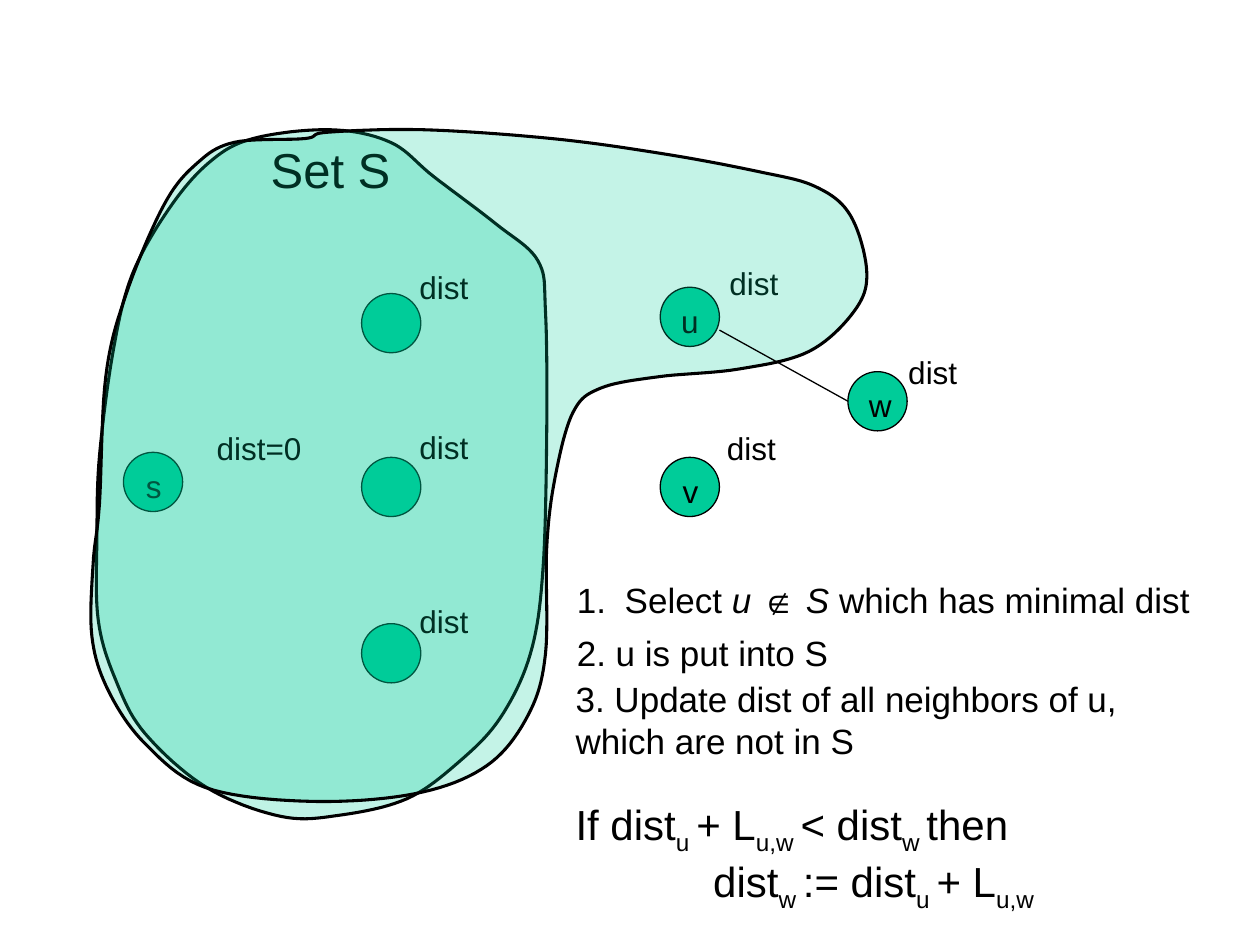
from itertools import cycle

from lxml.etree import SubElement
from pptx import Presentation
from pptx.dml.color import RGBColor
from pptx.enum.shapes import MSO_CONNECTOR as Connector, MSO_SHAPE as Shape
from pptx.enum.text import MSO_ANCHOR as Anchor, MSO_AUTO_SIZE as AutoSize, PP_ALIGN as Align
from pptx.oxml.ns import qn
from pptx.util import Inches, Pt

COLORS = {"green": "00CC99", "black": "000000"}
NODE_SIZE = 0.47
CURVE_STEPS = 10
MEMBER_LEFT, MEMBER_TOPS = 2.87, (2.33, 3.63, 4.95)
MEMBER_LABEL_LEFT, MEMBER_LABEL_TOPS = 3.23, (2.08, 3.35, 4.73)
CANDIDATE_LEFT = 5.24
U_TOP, V_TOP = 2.28, 3.63
W_LEFT, W_TOP = 6.73, 2.95

SET_S = {
    "top left": [(2.62, 1.03), (2.01, 1.1), (1.66, 1.29), (1.34, 1.66)],
    "left side": [(1.05, 2.18), (0.9, 2.78), (0.79, 3.62), (0.77, 4.25), (0.78, 4.92)],
    "bottom left": [(0.92, 5.4), (1.15, 5.82), (1.64, 6.25)],
    "bottom": [(2.23, 6.48), (2.7, 6.47), (3.23, 6.34)],
    "bottom right": [(3.64, 6.05), (3.97, 5.7), (4.21, 5.19)],
    "right side": [(4.31, 4.52), (4.34, 3.4), (4.33, 2.47)],
    "top right": [(4.27, 2.07), (3.94, 1.78), (3.44, 1.4), (3.1, 1.13)],
}

SET_S_WITH_U = {
    "top left": [(2.42, 1.1), (1.86, 1.13), (1.56, 1.3), (1.3, 1.63)],
    "left side": [(1, 2.34), (0.84, 2.99), (0.79, 4), (0.74, 4.47), (0.73, 5.05)],
    "bottom left": [(0.86, 5.48), (1.15, 5.9), (1.63, 6.25)],
    "bottom": [(2.45, 6.36), (3.29, 6.3)],
    "bottom right": [(3.86, 6.08), (4.19, 5.68)],
    "right side": [(4.33, 5.19), (4.34, 4.34), (4.41, 3.77)],
    "inner corner": [(4.55, 3.27), (4.77, 3.08)],
    "below u": [(5.23, 2.99), (5.86, 2.93), (6.42, 2.79)],
    "around u": [(6.78, 2.47), (6.88, 2.16), (6.75, 1.71), (6.47, 1.48)],
    "above u": [(6.01, 1.36), (5.26, 1.22), (4.38, 1.1), (3.36, 1.03), (2.6, 1.05)],
}


def rgb(name):
    return RGBColor.from_string(COLORS[name])


def write_runs(paragraph, marked_text, size=18, accent="sub"):
    for words, style in zip(marked_text.split("|"), cycle(("plain", accent))):
        run = paragraph.add_run()
        run.text = words
        run.font.name = "Arial"
        run.font.size = Pt(size)
        run.font.color.rgb = rgb("black")
        if style == "italic":
            run.font.italic = True
        if style == "sub":
            run.font._element.set("baseline", "-25000")


def add_text(slide, marked_text, left, top, width=0.95, height=0.4, **text_format):
    box = slide.shapes.add_textbox(*map(Inches, (left, top, width, height)))
    box.text_frame.word_wrap = True
    box.text_frame.auto_size = AutoSize.SHAPE_TO_FIT_TEXT
    write_runs(box.text_frame.paragraphs[0], marked_text, **text_format)
    return box.text_frame


def style_shape(shape, line_width):
    shape.shadow.inherit = False
    shape.fill.solid()
    shape.fill.fore_color.rgb = rgb("green")
    shape.line.color.rgb = rgb("black")
    shape.line.width = Pt(line_width)


def add_node(slide, left, top, name=None):
    node = slide.shapes.add_shape(
        Shape.OVAL, *map(Inches, (left, top, NODE_SIZE, NODE_SIZE)))
    style_shape(node, line_width=0.75)
    if name:
        node.text_frame.vertical_anchor = Anchor.TOP
        paragraph = node.text_frame.paragraphs[0]
        paragraph.alignment = Align.RIGHT
        write_runs(paragraph, name)


def spline(before, start, end, after, t):
    return 0.5 * (2 * start + (end - before) * t
                  + (2 * before - 5 * start + 4 * end - after) * t ** 2
                  + (3 * start - before - 3 * end + after) * t ** 3)


def smooth_outline(anchors):
    count = len(anchors)
    for index in range(count):
        neighbours = [anchors[(index + shift) % count] for shift in (-1, 0, 1, 2)]
        for step in range(CURVE_STEPS):
            yield tuple(Inches(spline(*axis, step / CURVE_STEPS)) for axis in zip(*neighbours))


def add_region(slide, sides, opacity):
    anchors = [anchor for side in sides.values() for anchor in side]
    start, *rest = smooth_outline(anchors)
    builder = slide.shapes.build_freeform(*start)
    builder.add_line_segments(rest, close=True)
    region = builder.convert_to_shape()
    style_shape(region, line_width=1.75)
    color = region._element.spPr.find(qn("a:solidFill")).find(qn("a:srgbClr"))
    SubElement(color, qn("a:alpha"), val=str(opacity * 1000))


def add_edge(slide, start, end):
    edge = slide.shapes.add_connector(Connector.STRAIGHT, *map(Inches, start + end))
    edge.line.color.rgb = rgb("black")
    edge.line.width = Pt(0.75)
    SubElement(edge._element.spPr, qn("a:effectLst"))


def number_paragraph(paragraph):
    properties = paragraph._p.get_or_add_pPr()
    properties.set("marL", str(Inches(0.38)))
    properties.set("indent", str(-Inches(0.38)))
    SubElement(properties, qn("a:buFont"), typeface="Arial")
    SubElement(properties, qn("a:buAutoNum"), type="arabicPeriod")


def add_set_s(slide):
    add_node(slide, 0.98, 3.59, "s")
    for top in MEMBER_TOPS:
        add_node(slide, MEMBER_LEFT, top)
    add_region(slide, SET_S, opacity=25)
    add_text(slide, "Set S", 2.05, 1.06, 1.65, 0.57, size=28)
    add_text(slide, "dist=0", 1.62, 3.36)
    for top in MEMBER_LABEL_TOPS:
        add_text(slide, "dist", MEMBER_LABEL_LEFT, top)


def add_candidates(slide):
    add_node(slide, CANDIDATE_LEFT, U_TOP, "u")
    add_text(slide, "dist", 5.69, 2.05)
    add_node(slide, CANDIDATE_LEFT, V_TOP, "v")
    add_text(slide, "dist", 5.67, 3.36)


def add_neighbour(slide):
    add_node(slide, W_LEFT, W_TOP, "w")
    add_edge(slide, (CANDIDATE_LEFT + NODE_SIZE, 2.62), (W_LEFT, W_TOP + NODE_SIZE / 2))
    add_text(slide, "dist", 7.11, 2.75)


def add_selection_steps(slide):
    select = add_text(slide, "Select |u |∉ |S |which has minimal dist",
                      4.48, 4.54, 5.17, 0.44, size=20, accent="italic")
    number_paragraph(select.paragraphs[0])
    add_text(slide, "2. u is put into S", 4.48, 4.96, 4.96, 0.44, size=20)


def add_update_step(slide):
    update = add_text(slide, "3. Update dist of all neighbors of u, which are not in S",
                      4.47, 5.33, 4.96, 1.98, size=20)
    condition = update.add_paragraph()
    condition.space_before = Pt(21)
    write_runs(condition, "If dist|u |+ L|u,w |< dist|w |then", size=24)
    assignment = update.add_paragraph()
    tabs = SubElement(assignment._p.get_or_add_pPr(), qn("a:tabLst"))
    SubElement(tabs, qn("a:tab"), pos=str(Inches(1)), algn="l")
    write_runs(assignment, "\t dist|w |:= dist|u |+ L|u,w", size=24)


def main():
    deck = Presentation()
    deck.slide_width, deck.slide_height = Inches(10), Inches(7.5)
    slide = deck.slides.add_slide(deck.slide_layouts[6])
    add_set_s(slide)
    add_candidates(slide)
    add_selection_steps(slide)
    add_region(slide, SET_S_WITH_U, opacity=23)
    add_neighbour(slide)
    add_update_step(slide)
    deck.save("out.pptx")


if __name__ == "__main__":
    main()
